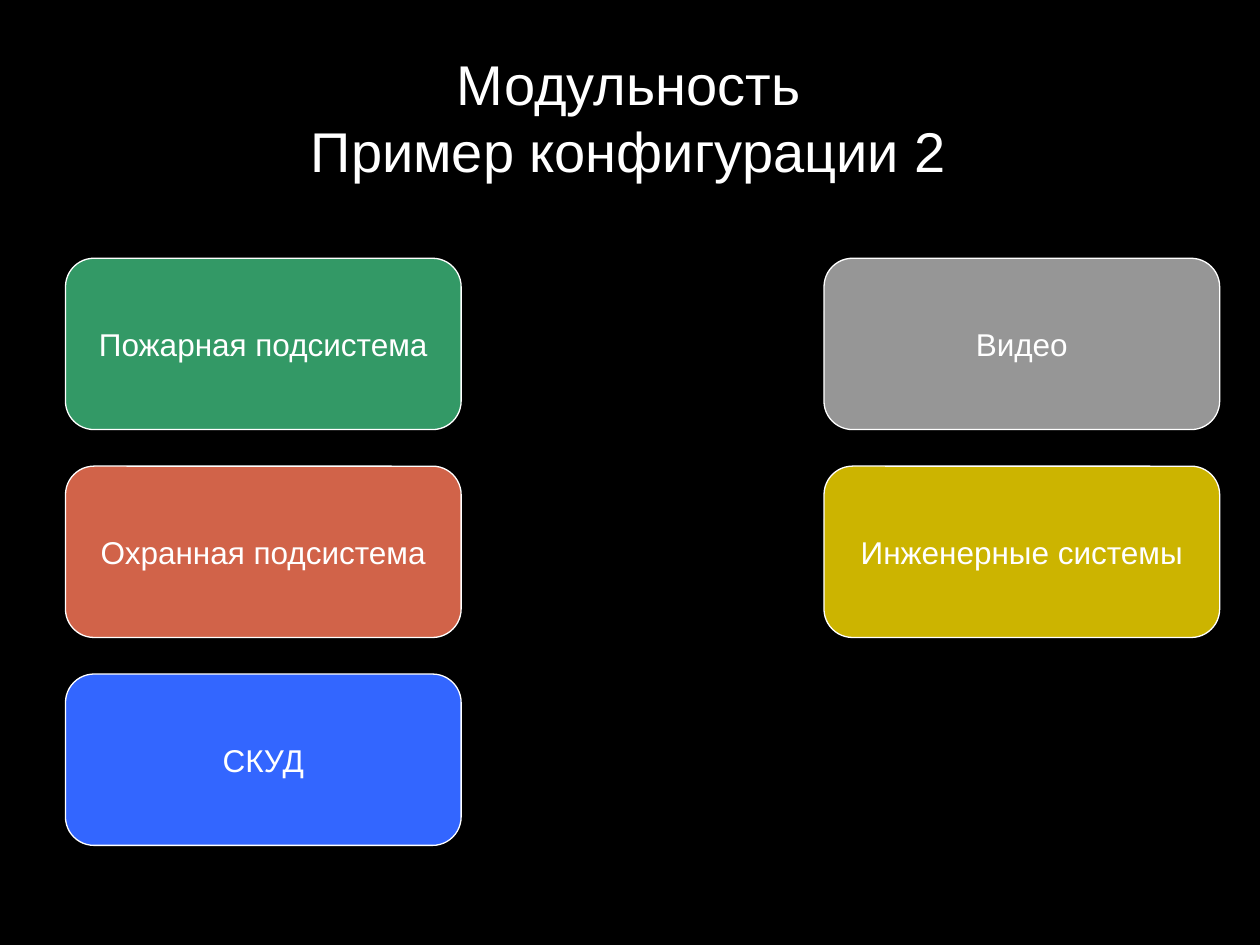
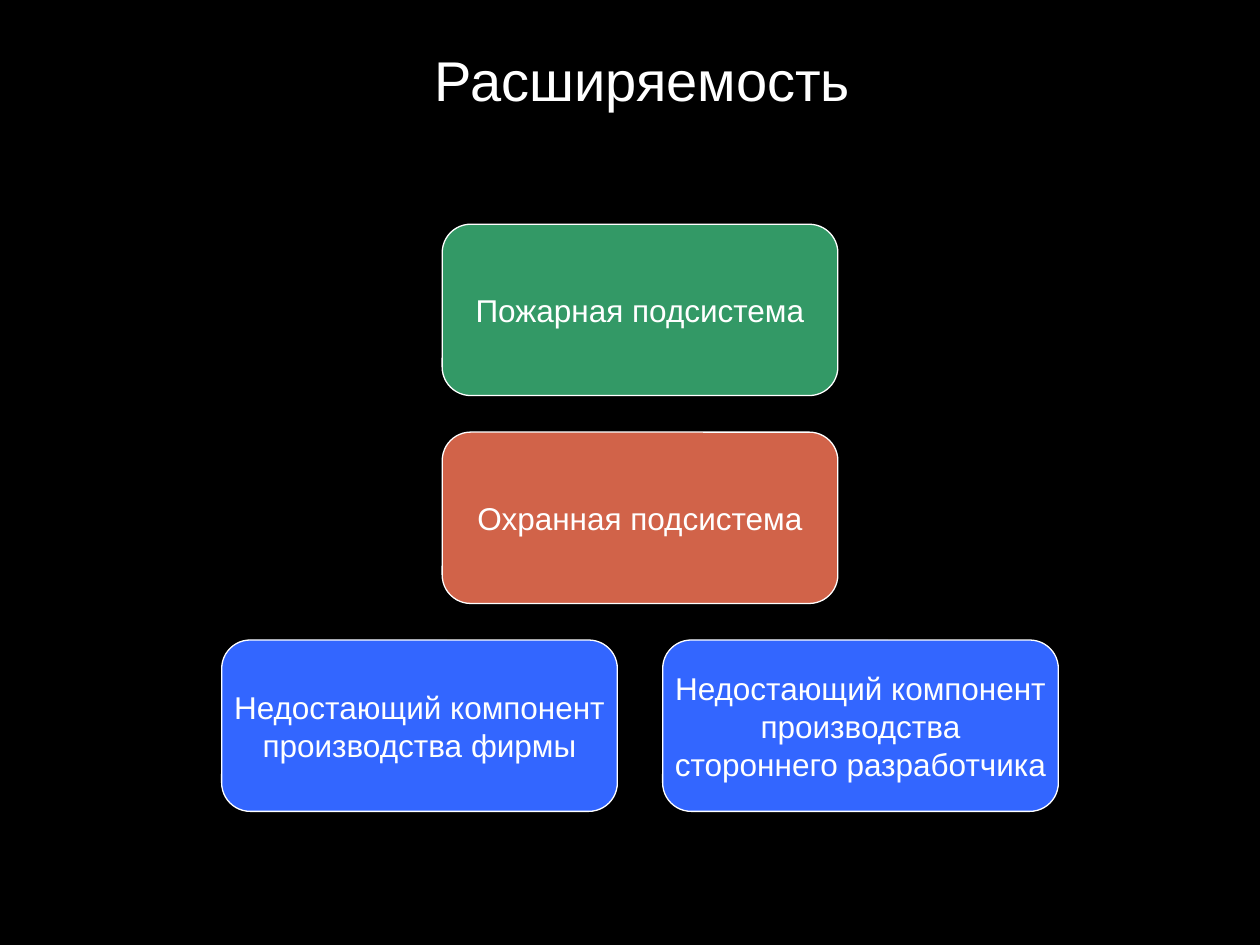
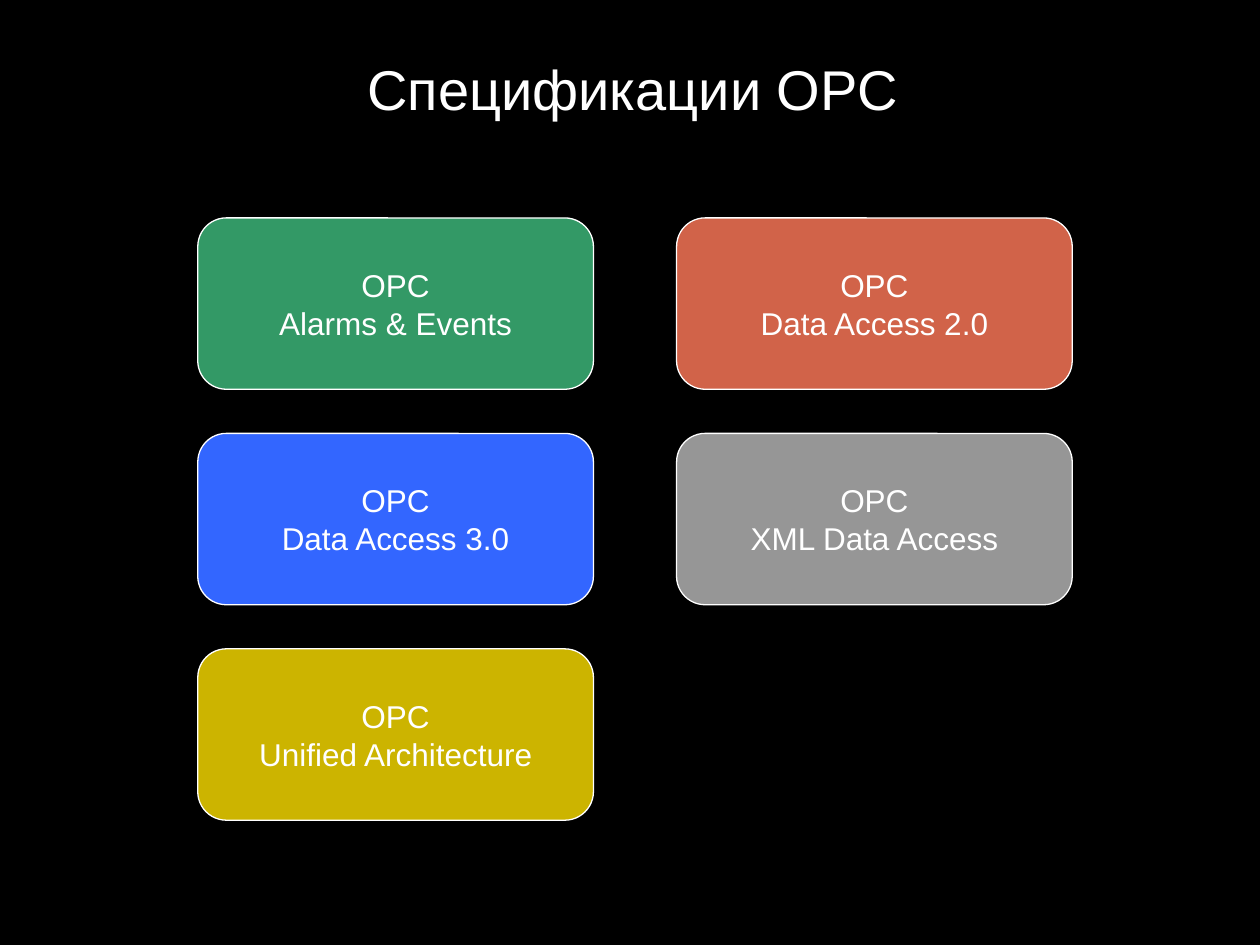
from pptx import Presentation
from pptx.dml.color import RGBColor
from pptx.enum.shapes import MSO_SHAPE as Shape
from pptx.enum.text import MSO_ANCHOR as Anchor, MSO_AUTO_SIZE as AutoSize, PP_ALIGN as Align
from pptx.util import Inches, Pt

BLACK, WHITE = "000000", "FFFFFF"
GREEN, RED, BLUE, GRAY, YELLOW = "339966", "D16349", "3366FF", "969696", "CCB400"
FONT = "Arial"
BLOCK_WIDTH, BLOCK_HEIGHT = 3.14, 1.36


def paint(target, color):
    target.solid()
    target.fore_color.rgb = RGBColor.from_string(color)


def write_lines(frame, lines, size, anchor):
    """Put each line in its own centred white paragraph."""
    frame.auto_size = AutoSize.NONE
    frame.vertical_anchor = anchor
    for number, line in enumerate(lines):
        paragraph = frame.add_paragraph() if number else frame.paragraphs[0]
        paragraph.alignment = Align.CENTER
        run = paragraph.add_run()
        run.text = line
        run.font.name = FONT
        run.font.size = Pt(size)
        paint(run.font.fill, WHITE)


# Each topic: title lines, title box, grid origin, grid pitch,
# then blocks as (column, row, colour, lines).
topics = [
    (["Модульность", "Пример конфигурации 2"], (0.22, 0.34, 9.54, 1.17),
     (0.52, 2.05), (6.02, 1.65), [
        (0, 0, GREEN, ["Пожарная подсистема"]),
        (0, 1, RED, ["Охранная подсистема"]),
        (0, 2, BLUE, ["СКУД"]),
        (1, 0, GRAY, ["Видео"]),
        (1, 1, YELLOW, ["Инженерные системы"]),
    ]),
    (["Расширяемость"], (0.39, 0.31, 9.42, 0.63),
     (1.76, 1.78), (3.5, 1.65), [
        (0.5, 0, GREEN, ["Пожарная подсистема"]),
        (0.5, 1, RED, ["Охранная подсистема"]),
        (0, 2, BLUE, ["Недостающий компонент", "производства фирмы"]),
        (1, 2, BLUE, ["Недостающий компонент", "производства",
                      "стороннего разработчика"]),
    ]),
    (["Спецификации OPC"], (0.27, 0.38, 9.51, 0.63),
     (1.57, 1.73), (3.8, 1.71), [
        (0, 0, GREEN, ["OPC", "Alarms & Events"]),
        (1, 0, RED, ["OPC", "Data Access 2.0"]),
        (0, 1, BLUE, ["OPC", "Data Access 3.0"]),
        (1, 1, GRAY, ["OPC", "XML Data Access"]),
        (0, 2, YELLOW, ["OPC", "Unified Architecture"]),
    ]),
]

deck = Presentation()
deck.slide_width, deck.slide_height = Inches(10), Inches(7.5)
paint(deck.slide_master.background.fill, BLACK)
title_only = deck.slide_layouts[5]

for heading, heading_box, (left, top), (column_pitch, row_pitch), blocks in topics:
    slide = deck.slides.add_slide(title_only)
    title = slide.shapes.title
    title.left, title.top, title.width, title.height = map(Inches, heading_box)
    write_lines(title.text_frame, heading, 32, Anchor.TOP)

    for column, row, color, lines in blocks:
        block = slide.shapes.add_shape(
            Shape.ROUNDED_RECTANGLE,
            Inches(left + column * column_pitch), Inches(top + row * row_pitch),
            Inches(BLOCK_WIDTH), Inches(BLOCK_HEIGHT))
        block.shadow.inherit = False
        paint(block.fill, color)
        paint(block.line.fill, WHITE)
        block.line.width = Pt(0.75)
        block.text_frame.word_wrap = False
        write_lines(block.text_frame, lines, 18, Anchor.MIDDLE)

deck.save("out.pptx")
